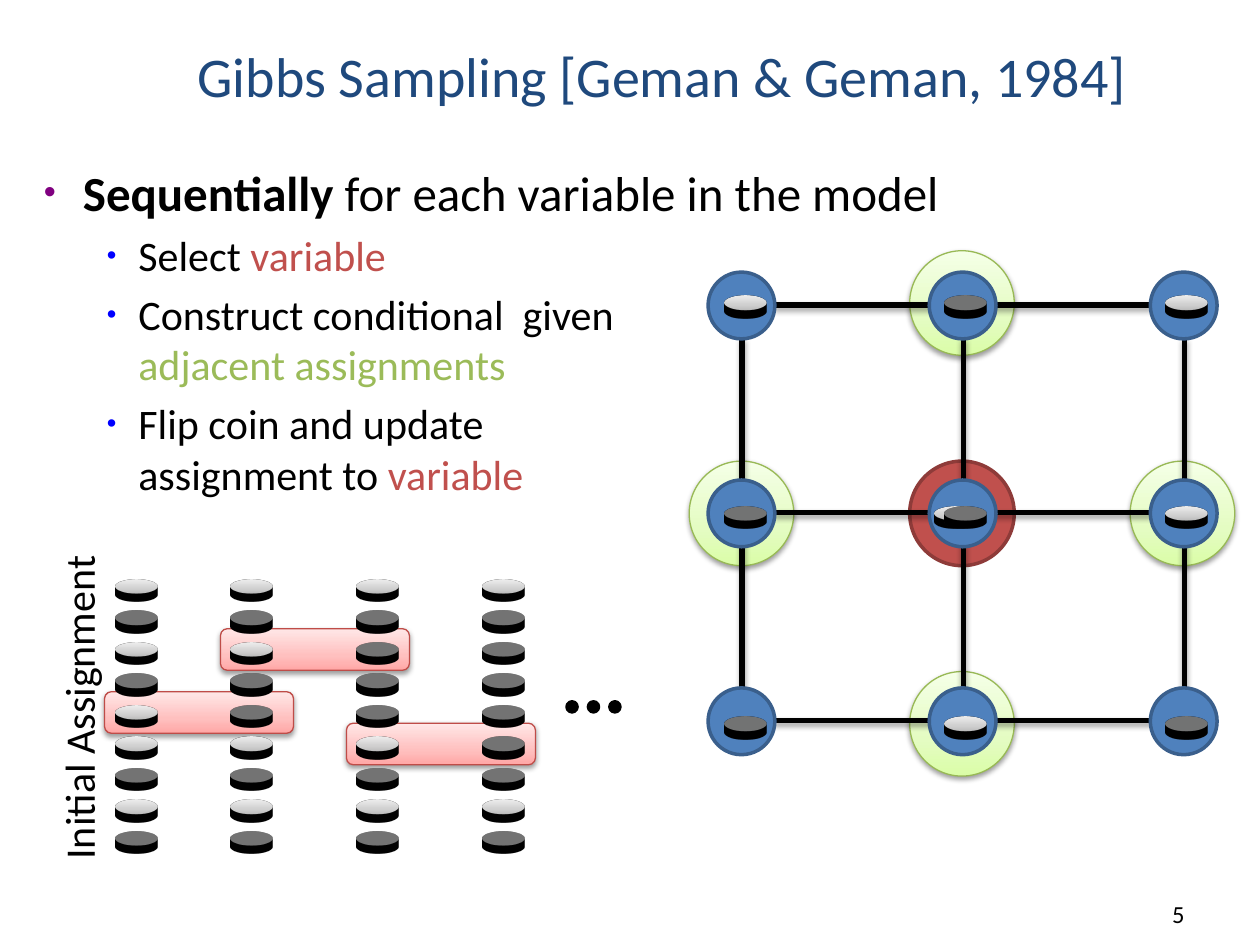
from lxml import etree
from pptx import Presentation
from pptx.dml.color import RGBColor
from pptx.enum.shapes import MSO_CONNECTOR, MSO_SHAPE
from pptx.enum.text import MSO_ANCHOR, PP_ALIGN
from pptx.oxml import parse_xml
from pptx.oxml.ns import qn
from pptx.util import Inches, Pt

OVAL = MSO_SHAPE.OVAL
ROUNDED = MSO_SHAPE.ROUNDED_RECTANGLE
STRAIGHT = MSO_CONNECTOR.STRAIGHT
NAMESPACE = "http://schemas.openxmlformats.org/drawingml/2006/main"

BLACK = RGBColor(0x00, 0x00, 0x00)
NAVY = RGBColor(0x1F, 0x49, 0x7D)
RED = RGBColor(0xC0, 0x50, 0x4D)
RED_EDGE = RGBColor(0x8E, 0x3B, 0x39)
PINK_EDGE = RGBColor(0xBF, 0x4C, 0x48)
GREEN = RGBColor(0x9B, 0xBB, 0x59)
GREEN_EDGE = RGBColor(0x98, 0xB9, 0x55)
BLUE = RGBColor(0x4F, 0x81, 0xBD)
BLUE_EDGE = RGBColor(0x3A, 0x5F, 0x8C)
DARK_COIN = RGBColor(0x40, 0x40, 0x40)
PURPLE_BULLET = RGBColor(0x80, 0x00, 0x80)
BLUE_BULLET = RGBColor(0x00, 0x00, 0xFF)
LIGHT_COIN = ("BDBDBD", "D1D1D1", "EEEEEE")
PINK = ("FFA6A5", "FFC0BF", "FFE7E7")
PALE_GREEN = ("DAFDA7", "E4FCC2", "F5FFE7")

COIN_FILLS = {"L": LIGHT_COIN, "D": DARK_COIN}
COIN_SIZE = 0.33
ASSIGNMENTS = [
    (0.92, "LDLDLLDLD"),
    (1.83, "LDLDDLDLD"),
    (2.83, "LDDDDLDLD"),
    (3.83, "LDDDDDDLD"),
]
UPDATED_PAIRS = [(0.83, 4), (1.75, 2), (2.75, 5)]
GRID_COINS = ["LDL", "DDL", "DLD"]
NEIGHBOURS = [(1, 2), (0, 1), (1, 0), (2, 1)]

BREAK = None
BULLETS = [
    (0, [("Sequentially", BLACK, True), (" for each variable in the model", BLACK, False)]),
    (1, [("Select", BLACK, False), (" variable", RED, False)]),
    (1, [("Construct conditional  given ", BLACK, False), BREAK,
         ("adjacent assignments", GREEN, False)]),
    (1, [("Flip coin and update", BLACK, False), BREAK,
         ("assignment to ", BLACK, False), ("variable", RED, False)]),
]
LEVELS = [(28, 0.31, -0.31, PURPLE_BULLET, 70), (24, 0.75, -0.25, BLUE_BULLET, 65)]

presentation = Presentation()
presentation.slide_width = Inches(10)
presentation.slide_height = Inches(7.5)
slide = presentation.slides.add_slide(presentation.slide_layouts[6])


def add_shadow(shape, opacity, distance):
    properties = shape._element.spPr
    for effects in properties.findall(qn("a:effectLst")):
        properties.remove(effects)
    properties.append(parse_xml(
        f'<a:effectLst xmlns:a="{NAMESPACE}"><a:outerShdw blurRad="{Pt(3.1)}" '
        f'dist="{Pt(distance)}" dir="5400000" rotWithShape="0"><a:srgbClr val="000000">'
        f'<a:alpha val="{opacity * 1000}"/></a:srgbClr></a:outerShdw></a:effectLst>'))


def set_fill(shape, fill):
    if isinstance(fill, RGBColor):
        shape.fill.solid()
        shape.fill.fore_color.rgb = fill
        return
    shape.fill.gradient()
    shape.fill.gradient_angle = 90
    stops = shape._element.spPr.find(qn("a:gradFill")).find(qn("a:gsLst"))
    for stop in list(stops):
        stops.remove(stop)
    for position, color in zip((0, 35000, 100000), fill):
        stop = etree.SubElement(stops, qn("a:gs"), pos=str(position))
        etree.SubElement(stop, qn("a:srgbClr"), val=color)


def add_figure(kind, left, top, width, height, fill, edge, weight=0.75, shadow=False):
    shape = slide.shapes.add_shape(
        kind, Inches(left), Inches(top), Inches(width), Inches(height))
    shape.shadow.inherit = False
    set_fill(shape, fill)
    shape.line.color.rgb = edge
    shape.line.width = Pt(weight)
    if shadow:
        add_shadow(shape, 38, 1.6)
    return shape


def add_coin(left, top, face):
    coin = add_figure(OVAL, left, top, COIN_SIZE, COIN_SIZE, COIN_FILLS[face], BLACK)
    properties = coin._element.spPr
    properties.append(parse_xml(
        f'<a:scene3d xmlns:a="{NAMESPACE}"><a:camera prst="orthographicFront">'
        '<a:rot lat="17400000" lon="0" rev="0"/></a:camera>'
        '<a:lightRig rig="threePt" dir="t"/></a:scene3d>'))
    properties.append(parse_xml(
        f'<a:sp3d xmlns:a="{NAMESPACE}" extrusionH="63500">'
        '<a:extrusionClr><a:srgbClr val="000000"/></a:extrusionClr></a:sp3d>'))


def add_edge(start_x, start_y, end_x, end_y):
    edge = slide.shapes.add_connector(
        STRAIGHT, Inches(start_x), Inches(start_y), Inches(end_x), Inches(end_y))
    edge.line.color.rgb = BLACK
    edge.line.width = Pt(3)
    add_shadow(edge, 35, 1.8)


def add_text(left, top, width, height, anchor=MSO_ANCHOR.TOP, wrap=True):
    box = slide.shapes.add_textbox(Inches(left), Inches(top), Inches(width), Inches(height))
    box.text_frame.word_wrap = wrap
    box.text_frame.vertical_anchor = anchor
    return box


def write_line(box, text, size, color, alignment=PP_ALIGN.LEFT):
    paragraph = box.text_frame.paragraphs[0]
    paragraph.text = text
    paragraph.alignment = alignment
    paragraph.font.name = "Calibri"
    paragraph.font.size = Pt(size)
    paragraph.font.color.rgb = color


def add_bullet(paragraph, level, pieces):
    size, margin, indent, color, scale = LEVELS[level]
    properties = paragraph._p.get_or_add_pPr()
    properties.set("marL", str(Inches(margin)))
    properties.set("indent", str(Inches(indent)))
    bullet_color = etree.SubElement(properties, qn("a:buClr"))
    etree.SubElement(bullet_color, qn("a:srgbClr"), val=str(color))
    etree.SubElement(properties, qn("a:buSzPct"), val=str(scale * 1000))
    etree.SubElement(properties, qn("a:buFont"), typeface="Arial")
    etree.SubElement(properties, qn("a:buChar"), char="•")
    paragraph.level = level
    paragraph.font.name = "Calibri"
    paragraph.font.size = Pt(size)
    for piece in pieces:
        if piece is BREAK:
            paragraph.add_line_break()
            continue
        text, text_color, bold = piece
        run = paragraph.add_run()
        run.text = text
        run.font.color.rgb = text_color
        run.font.bold = bold


for left, row in UPDATED_PAIRS:
    add_figure(ROUNDED, left, 4.49 + 0.25 * row, 1.5, 0.33, PINK, PINK_EDGE, shadow=True)
for left, faces in ASSIGNMENTS:
    for row, face in enumerate(faces):
        add_coin(left, 4.49 + 0.25 * row, face)

add_figure(OVAL, 7.22, 3.66, 0.83, 0.83, RED, RED_EDGE, 2)
for row, column in NEIGHBOURS:
    add_figure(OVAL, 5.47 + 1.75 * column, 1.99 + 1.67 * row, 0.83, 0.83,
               PALE_GREEN, GREEN_EDGE, shadow=True)

write_line(add_text(1.47, 0.08, 8.2, 0.83, MSO_ANCHOR.BOTTOM),
           "Gibbs Sampling [Geman & Geman, 1984]", 32, NAVY)
body = add_text(0.25, 1.24, 8.75, 3.67).text_frame
for index, (level, pieces) in enumerate(BULLETS):
    paragraph = body.add_paragraph() if index else body.paragraphs[0]
    add_bullet(paragraph, level, pieces)
    if index:
        paragraph.space_before = Pt(4.8)

for index in range(3):
    y = 2.42 + 1.65 * index
    add_edge(6.15, y, 9.13, y)
for index in range(3):
    x = 5.89 + 1.755 * index
    add_edge(x, 2.69, x, 5.46)
for row in range(3):
    for column in range(3):
        add_figure(OVAL, 5.62 + 1.755 * column, 2.16 + 1.65 * row, 0.53, 0.53,
                   BLUE, BLUE_EDGE, 2)
add_coin(7.42, 3.91, "L")
for row, faces in enumerate(GRID_COINS):
    for column, face in enumerate(faces):
        add_coin(5.75 + 1.75 * column, 2.24 + 1.67 * row, face)

label = add_text(-0.7, 5.35, 2.64, 0.5, wrap=False)
label.rotation = 270
write_line(label, "Initial Assignment", 24, BLACK)
write_line(add_text(7.42, 6.92, 2.08, 0.5, MSO_ANCHOR.BOTTOM), "5", 14, BLACK, PP_ALIGN.RIGHT)
for index in range(3):
    add_figure(OVAL, 4.5 + 0.17 * index, 5.57, 0.08, 0.08, BLACK, BLACK, 2)

presentation.save("out.pptx")
